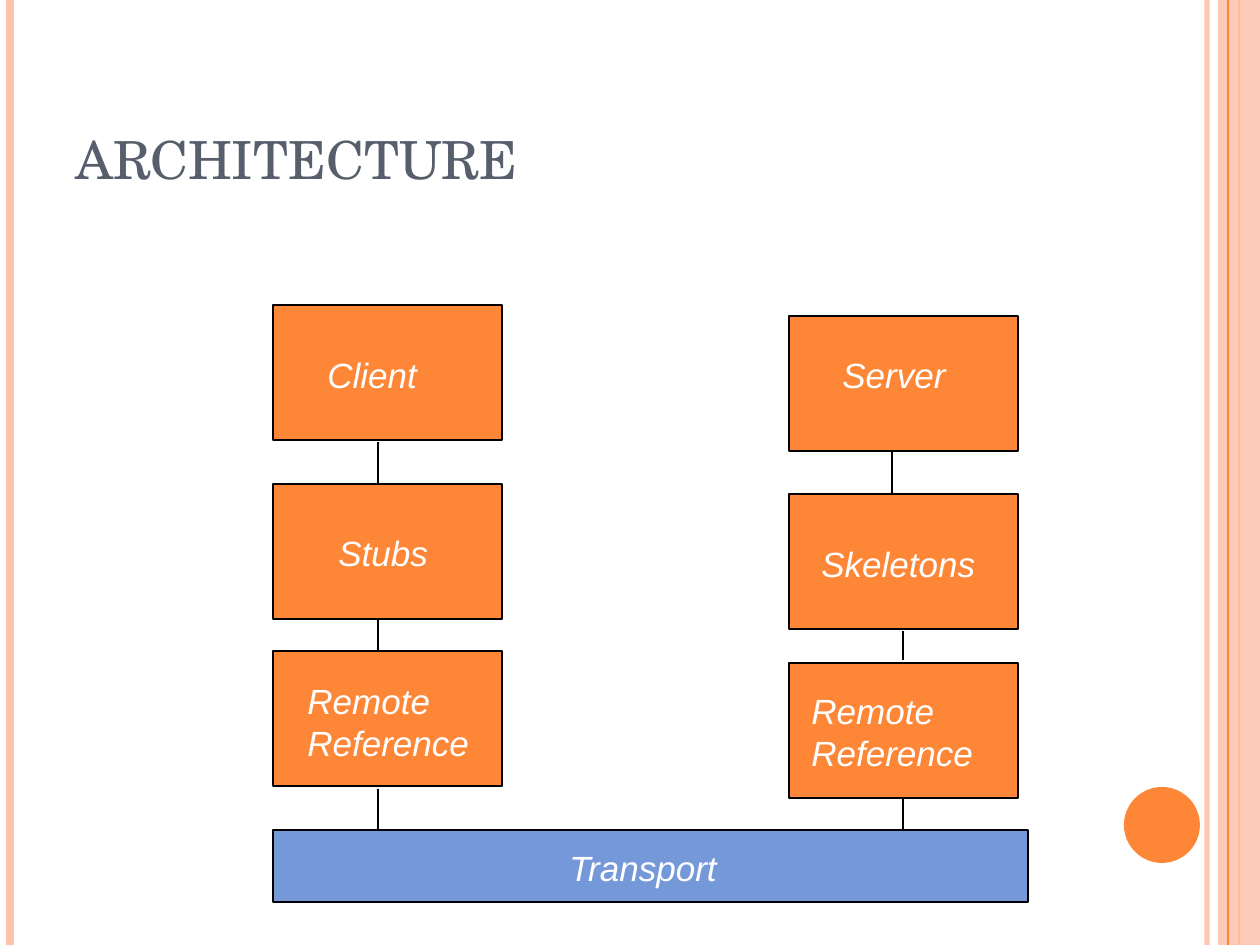
from lxml import etree
from pptx import Presentation
from pptx.dml.color import RGBColor
from pptx.enum.shapes import MSO_CONNECTOR, MSO_SHAPE
from pptx.enum.text import MSO_ANCHOR
from pptx.oxml.ns import qn
from pptx.util import Emu, Pt

EMU_PER_PX = 914400 // 126
SLIDE_W, SLIDE_H = 1260, 945
RECTANGLE, ELLIPSE = MSO_SHAPE.RECTANGLE, MSO_SHAPE.OVAL
STRAIGHT = MSO_CONNECTOR.STRAIGHT
TOP, BOTTOM = MSO_ANCHOR.TOP, MSO_ANCHOR.BOTTOM

ORANGE, PEACH, BLUE = "FE8637", "FEC3AE", "7598D9"
SLATE, BLACK, WHITE = "575F6D", "000000", "FFFFFF"

LAYER_W, LAYER_H = 229, 135
# Per side: left edge, then (layer top, label, label left, top, width, height)
STACKS = [
    (273, [(305, "Client", 315, 347, 136, 54),
           (484, "Stubs", 326, 525, 115, 54),
           (651, "Remote Reference", 295, 673, 199, 96)]),
    (789, [(316, "Server", 830, 347, 146, 54),
           (494, "Skeletons", 809, 536, 189, 54),
           (663, "Remote Reference", 799, 683, 199, 96)]),
]
# x, top, bottom
LINKS = [(378, 442, 483), (378, 620, 651), (378, 789, 829),
         (892, 452, 493), (903, 631, 660), (903, 799, 829)]


def px(*lengths):
    return [Emu(length * EMU_PER_PX) for length in lengths]


def rgb(code):
    return RGBColor.from_string(code)


def set_opacity(fill_parent, percent):
    color = next(fill_parent.iter(qn("a:srgbClr")))
    etree.SubElement(color, qn("a:alpha"), val=str(percent * 1000))


def add_block(slide, preset, box, fill, outline=None, opacity=100):
    block = slide.shapes.add_shape(preset, *px(*box))
    block.shadow.inherit = False
    block.fill.solid()
    block.fill.fore_color.rgb = rgb(fill)
    if outline:
        block.line.color.rgb = rgb(outline)
        block.line.width = Pt(1)
    else:
        block.line.fill.background()
    if opacity < 100:
        set_opacity(block._element.spPr, opacity)


def add_vertical(slide, x, top, bottom, color=BLACK, width=1, opacity=100):
    rule = slide.shapes.add_connector(STRAIGHT, *px(x, top, x, bottom))
    rule.line.color.rgb = rgb(color)
    rule.line.width = Pt(width)
    if opacity < 100:
        set_opacity(rule._element.spPr, opacity)
    etree.SubElement(rule._element.spPr, qn("a:effectLst"))


def add_text(slide, text, box, size=20, font="Arial", color=WHITE,
             italic=True, anchor=TOP):
    frame = slide.shapes.add_textbox(*px(*box)).text_frame
    frame.word_wrap = True
    frame.vertical_anchor = anchor
    run = frame.paragraphs[0].add_run()
    run.text = text
    run.font.size = Pt(size)
    run.font.name = font
    run.font.italic = italic
    run.font.color.rgb = rgb(color)


def add_decoration(slide):
    add_vertical(slide, 1207, 0, SLIDE_H, PEACH, 3, opacity=93)
    add_vertical(slide, 10, 0, SLIDE_H, PEACH, 4.5)
    add_vertical(slide, 1239, 0, SLIDE_H, ORANGE, 1.5)
    add_block(slide, RECTANGLE, (1218, 0, 42, SLIDE_H), PEACH, opacity=87)
    add_vertical(slide, 1228, 0, SLIDE_H, ORANGE, 0.75)
    add_block(slide, ELLIPSE, (1124, 787, 76, 76), ORANGE)


def add_architecture(slide):
    for left, layers in STACKS:
        for top, *_ in layers:
            add_block(slide, RECTANGLE, (left, top, LAYER_W, LAYER_H),
                      ORANGE, BLACK)
        for _, label, *label_box in layers:
            add_text(slide, label, label_box)
    add_block(slide, RECTANGLE, (273, 830, 755, 72), BLUE, BLACK)
    add_text(slide, "Transport", (557, 840, 199, 54))
    for link in LINKS:
        add_vertical(slide, *link)


def main():
    prs = Presentation()
    prs.slide_width, prs.slide_height = px(SLIDE_W, SLIDE_H)
    slide = prs.slides.add_slide(prs.slide_layouts[6])
    add_decoration(slide)
    add_text(slide, "ARCHITECTURE", (63, 38, 1029, 158), size=30,
             font="TeX Gyre Schola", color=SLATE, italic=False, anchor=BOTTOM)
    add_architecture(slide)
    prs.save("out.pptx")


if __name__ == "__main__":
    main()
